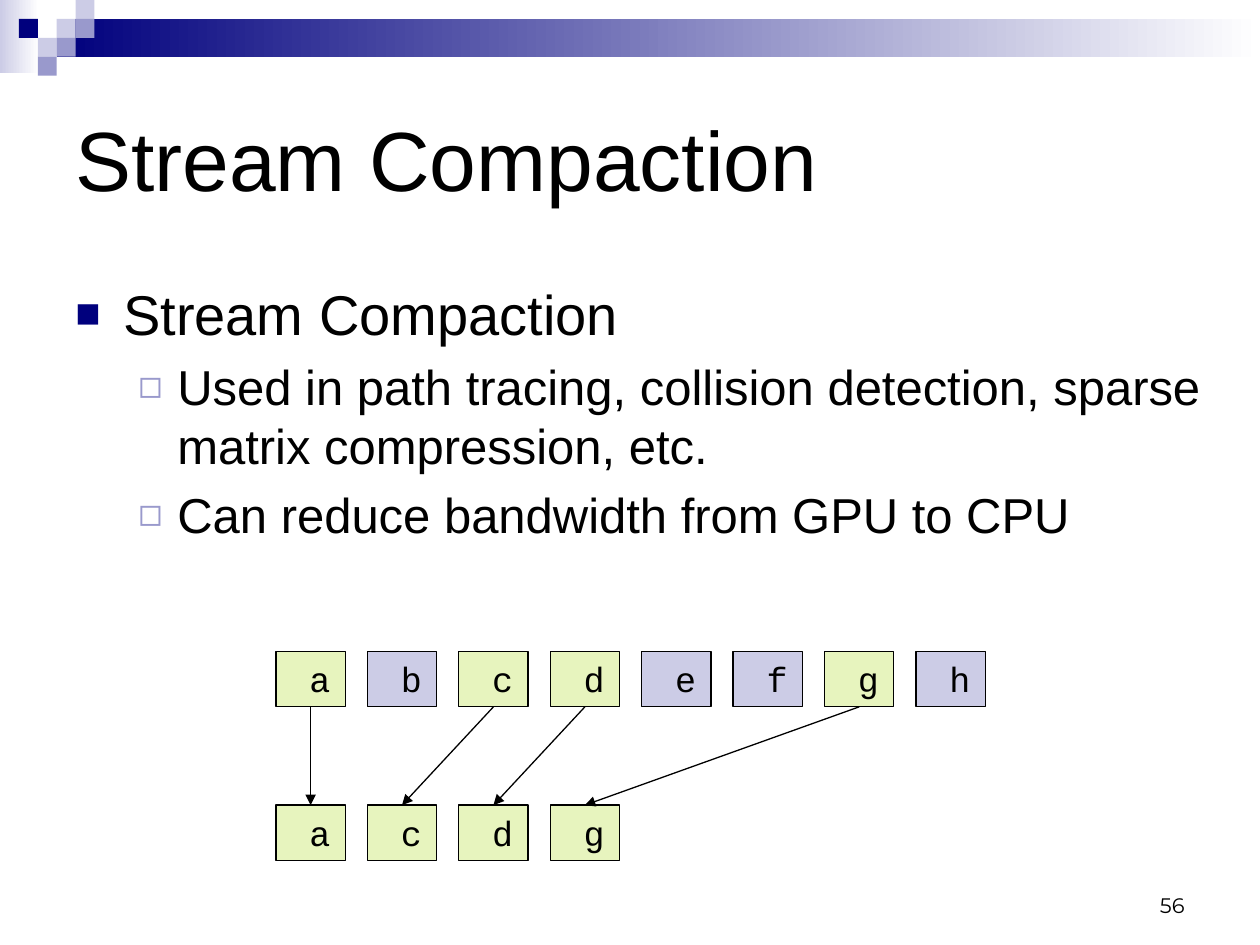
from dataclasses import dataclass
from typing import Any

import lxml.etree
import pptx
import pptx.dml.color
import pptx.enum.dml
import pptx.enum.shapes
import pptx.enum.text
import pptx.oxml.ns
import pptx.util

Inches = pptx.util.Inches
Pt = pptx.util.Pt
RECTANGLE = pptx.enum.shapes.MSO_SHAPE.RECTANGLE
ANCHOR = pptx.enum.text.MSO_ANCHOR
ALIGN = pptx.enum.text.PP_ALIGN


@dataclass(frozen=True)
class Theme:
    navy: str = "00007D"
    violet: str = "9999CC"
    lavender: str = "CCCCE6"
    green: str = "E7F4BE"
    white: str = "FFFFFF"
    black: str = "000000"
    text_font: str = "Arial"
    code_font: str = "Courier New"
    number_font: str = "Montserrat"
    title_size: int = 48
    code_size: int = 20
    number_size: int = 12
    line_width: float = 0.75


@dataclass(frozen=True)
class Box:
    left: float
    top: float
    width: float
    height: float

    def lengths(self) -> list[int]:
        return [Inches(value) for value in (self.left, self.top, self.width, self.height)]


@dataclass(frozen=True)
class BulletStyle:
    size: int
    indent: float
    hanging: float
    character: str
    color: str
    percent: int


@dataclass(frozen=True)
class Square:
    column: int
    row: int
    color: str


THEME = Theme()
SLIDE_WIDTH, SLIDE_HEIGHT = 10, 7.5

# Header mosaic, on a grid of small squares
UNIT = 0.15
SQUARES = [
    Square(3, 1, THEME.lavender),
    Square(4, 0, THEME.lavender),
    Square(4, 1, THEME.violet),
    Square(2, 2, THEME.lavender),
    Square(1, 1, THEME.navy),
    Square(3, 2, THEME.violet),
    Square(2, 3, THEME.violet),
]

# Body text
HEADING = BulletStyle(32, 0.38, 0.38, "■", THEME.navy, 75)
DETAIL = BulletStyle(28, 0.81, 0.31, "◻", THEME.violet, 80)
BODY = [
    ("Stream Compaction", HEADING),
    ("Used in path tracing, collision detection, sparse matrix compression, etc.", DETAIL),
    ("Can reduce bandwidth from GPU to CPU", DETAIL),
]

# Compaction diagram: kept elements move to the front of the lower row
ELEMENTS = "abcdefgh"
KEPT = "acdg"
GRID_LEFT, LAST_LEFT = 2.19, 7.27
PITCH = (LAST_LEFT - GRID_LEFT) / (len(ELEMENTS) - 1)
CELL_WIDTH, CELL_HEIGHT = 0.55, 0.44
INPUT_TOP, OUTPUT_TOP = 5.17, 6.39


def rgb(color: str) -> pptx.dml.color.RGBColor:
    return pptx.dml.color.RGBColor.from_string(color)


def format_runs(paragraph: Any, font: str, size: int) -> None:
    for run in paragraph.runs:
        run.font.name = font
        run.font.size = Pt(size)
        run.font.color.rgb = rgb(THEME.black)


def add_rectangle(slide: Any, box: Box, color: str, fade: bool = False) -> Any:
    shape = slide.shapes.add_shape(RECTANGLE, *box.lengths())
    shape.shadow.inherit = False
    shape.line.fill.background()
    if fade:
        shape.fill.gradient()
        shape.fill.gradient_angle = 0
        for stop, stop_color in zip(shape.fill.gradient_stops, (color, THEME.white)):
            stop.color.rgb = rgb(stop_color)
    else:
        shape.fill.solid()
        shape.fill.fore_color.rgb = rgb(color)
    return shape


def add_text(slide: Any, box: Box, anchor: Any) -> Any:
    text_frame = slide.shapes.add_textbox(*box.lengths()).text_frame
    text_frame.word_wrap = True
    text_frame.vertical_anchor = anchor
    return text_frame


def add_bullet(paragraph: Any, style: BulletStyle) -> None:
    paragraph.space_before = Pt(0.2 * style.size)
    properties = paragraph._p.get_or_add_pPr()
    properties.set("marL", str(Inches(style.indent)))
    properties.set("indent", str(-Inches(style.hanging)))

    def add(parent: Any, tag: str, **attributes: str) -> Any:
        return lxml.etree.SubElement(parent, pptx.oxml.ns.qn(tag), **attributes)

    add(add(properties, "a:buClr"), "a:srgbClr", val=style.color)
    add(properties, "a:buSzPct", val=str(style.percent * 1000))
    add(properties, "a:buFont", typeface=THEME.text_font)
    add(properties, "a:buChar", char=style.character)


def add_cell(slide: Any, letter: str, column: int, top: float) -> Any:
    color = THEME.green if letter in KEPT else THEME.lavender
    box = Box(GRID_LEFT + column * PITCH, top, CELL_WIDTH, CELL_HEIGHT)
    cell = add_rectangle(slide, box, color)
    cell.line.color.rgb = rgb(THEME.black)
    cell.line.width = Pt(THEME.line_width)
    text_frame = cell.text_frame
    text_frame.text = f" {letter}"
    text_frame.word_wrap = False
    text_frame.auto_size = pptx.enum.text.MSO_AUTO_SIZE.SHAPE_TO_FIT_TEXT
    text_frame.vertical_anchor = ANCHOR.TOP
    text_frame.paragraphs[0].alignment = ALIGN.LEFT
    format_runs(text_frame.paragraphs[0], THEME.code_font, THEME.code_size)
    return cell


def add_arrow(slide: Any, source: Any, target: Any) -> None:
    arrow = slide.shapes.add_connector(pptx.enum.shapes.MSO_CONNECTOR.STRAIGHT, 0, 0, 0, 0)
    arrow.begin_connect(source, 2)
    arrow.end_connect(target, 0)
    arrow.line.color.rgb = rgb(THEME.black)
    arrow.line.width = Pt(THEME.line_width)
    qn = pptx.oxml.ns.qn
    lxml.etree.SubElement(arrow.line._get_or_add_ln(), qn("a:tailEnd"), type="triangle")
    lxml.etree.SubElement(arrow._element.spPr, qn("a:effectLst"))


def main() -> None:
    presentation = pptx.Presentation()
    presentation.slide_width = Inches(SLIDE_WIDTH)
    presentation.slide_height = Inches(SLIDE_HEIGHT)
    slide = presentation.slides.add_slide(presentation.slide_layouts[6])

    # Header
    add_rectangle(slide, Box(0, 0, 0.31, 0.58), THEME.lavender, fade=True)
    bar = Box(3 * UNIT, UNIT, SLIDE_WIDTH - 3 * UNIT, 2 * UNIT)
    add_rectangle(slide, bar, THEME.navy, fade=True)
    for square in SQUARES:
        box = Box(square.column * UNIT, square.row * UNIT, UNIT, UNIT)
        add_rectangle(slide, box, square.color)

    # Title
    title = add_text(slide, Box(0.5, 0.5, 9, 1.5), ANCHOR.MIDDLE)
    title.text = "Stream Compaction"
    format_runs(title.paragraphs[0], THEME.text_font, THEME.title_size)

    # Bulleted body
    body = add_text(slide, Box(0.5, 2.17, 9.33, 4.25), ANCHOR.TOP)
    body.text = "\n".join(text for text, _ in BODY)
    for paragraph, (_, style) in zip(body.paragraphs, BODY):
        paragraph.level = int(style is DETAIL)
        add_bullet(paragraph, style)
        format_runs(paragraph, THEME.text_font, style.size)

    # Diagram
    inputs = {e: add_cell(slide, e, i, INPUT_TOP) for i, e in enumerate(ELEMENTS)}
    outputs = {e: add_cell(slide, e, i, OUTPUT_TOP) for i, e in enumerate(KEPT)}
    for letter in KEPT:
        add_arrow(slide, inputs[letter], outputs[letter])

    # Slide number
    number = add_text(slide, Box(7.17, 6.83, 2.33, 0.5), ANCHOR.BOTTOM)
    number.text = "56"
    number.paragraphs[0].alignment = ALIGN.RIGHT
    format_runs(number.paragraphs[0], THEME.number_font, THEME.number_size)

    presentation.save("out.pptx")


if __name__ == "__main__":
    main()
